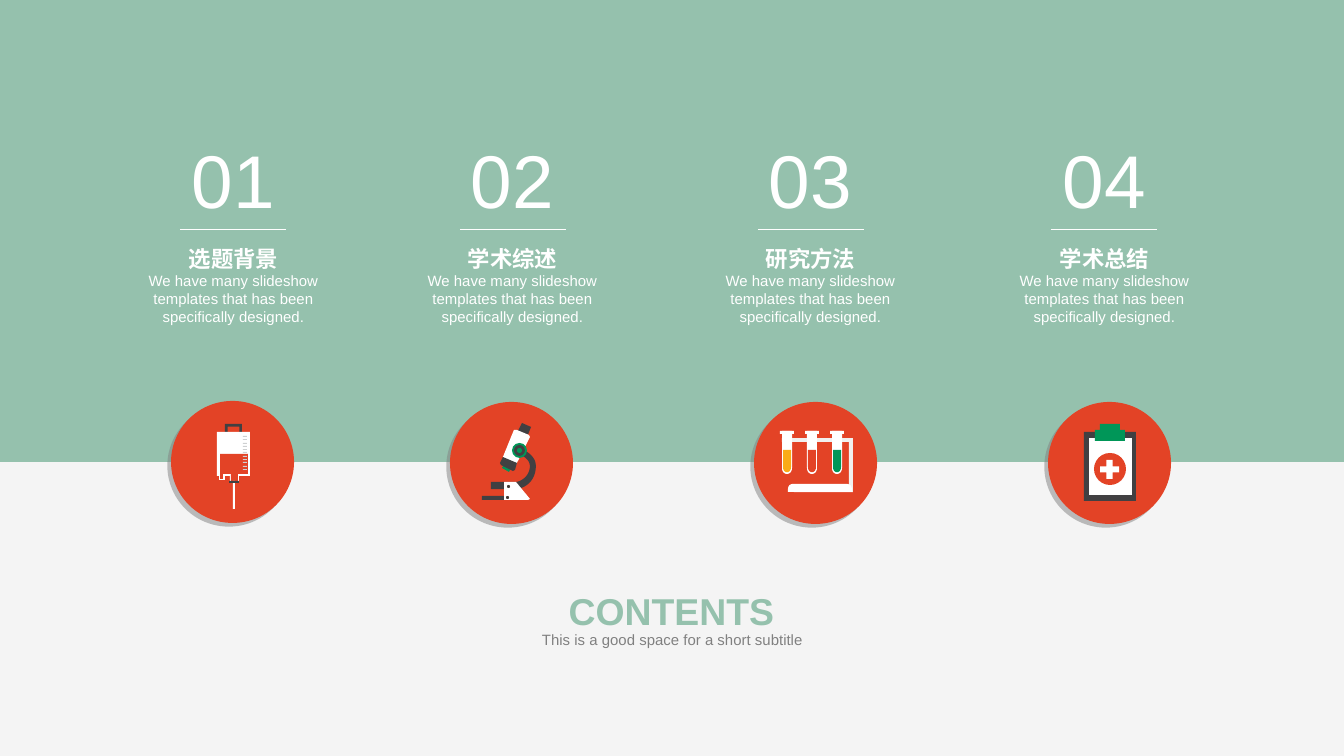
from typing import NamedTuple

from pptx import Presentation
from pptx.dml.color import RGBColor
from pptx.enum.shapes import MSO_CONNECTOR, MSO_SHAPE as Preset
from pptx.enum.text import MSO_ANCHOR as Anchor, PP_ALIGN as Align
from pptx.oxml.ns import qn
from pptx.util import Pt
from lxml.etree import SubElement

EMU_PER_PX = 9144000 / 1344
FONT = "Arial"
WHITE, SAGE, RED, DARK = "FFFFFF", "95C1AD", "E34326", "414042"
GREEN, AMBER, GREY, PALE = "009658", "FAAB18", "808080", "F4F4F4"
TICK, SCREW, RACK = "CED0D1", "403833", "F1F0EF"
BLURB = "We have many slideshow templates that has been specifically designed."


class Column(NamedTuple):
    number: str
    heading: str
    text_x: int
    line_x: int
    circle_x: int
    circle_y: int


class Part(NamedTuple):
    x: int
    y: int
    width: int
    height: int
    fill: str
    preset: Preset = Preset.RECTANGLE
    adjust: float | None = None


class Outline(NamedTuple):
    """Corners are (x, y); a tuple of six numbers is a cubic curve."""
    fill: str
    points: list[tuple[int, ...]]


COLUMNS = [
    Column("01", "选题背景", 138, 180, 171, 401),
    Column("02", "学术综述", 417, 460, 450, 402),
    Column("03", "研究方法", 715, 758, 754, 402),
    Column("04", "学术总结", 1009, 1051, 1048, 402),
]

DRIP_BAG = [
    Part(225, 424, 17, 13, DARK, Preset.FRAME, 0.2),
    Part(217, 432, 33, 44, WHITE),
    Part(220, 454, 28, 20, RED),
    Part(219, 476, 6, 4, WHITE),
    Part(230, 476, 9, 6, WHITE),
    Part(231, 472, 7, 9, RED),
    Part(220, 473, 3, 6, RED),
    Part(233, 481, 2, 28, WHITE),
    *[Part(243, round(436 + 3.3 * i), 4, 1, TICK) for i in range(11)],
    Part(229, 481, 10, 2, DARK),
]

MICROSCOPE = [
    Outline(GREEN, [(509, 472), (502, 468), (504, 465), (511, 468)]),
    Outline(DARK, [(527, 437), (517, 433), (522, 423), (531, 427)]),
    Outline(WHITE, [(517, 463), (516, 465), (504, 459), (503, 457),
                    (514, 430), (517, 430), (529, 435), (530, 437)]),
    Outline(DARK, [(515, 470), (513, 471), (501, 465), (500, 463),
                   (503, 457), (517, 463)]),
    Outline(DARK, [(536, 466), (536, 453, 519, 448, 519, 448), (516, 449),
                   (516, 453), (519, 454), (519, 454, 530, 458, 530, 466),
                   (530, 476, 521, 482, 515, 482), (491, 482), (491, 489),
                   (515, 489), (525, 489, 536, 481, 536, 466)]),
    Part(482, 496, 44, 4, DARK),
    Part(512, 443, 15, 15, GREEN, Preset.OVAL),
    Part(514, 445, 11, 11, DARK, Preset.OVAL),
    Outline(WHITE, [(528, 500), (504, 500), (504, 482), (516, 482),
                    (530, 499)]),
    Part(517, 448, 5, 5, GREEN, Preset.OVAL),
    Part(507, 485, 3, 3, SCREW, Preset.OVAL),
    Part(506, 496, 3, 3, SCREW, Preset.OVAL),
]


def test_tube(x: int, liquid: str) -> list[Part | Outline]:
    return [
        Outline(WHITE, [(x, 431), (x + 10, 431), (x + 10, 468),
                        (x + 10, 476, x, 476, x, 468)]),
        Outline(liquid, [(x + 1, 450), (x + 9, 450), (x + 9, 467),
                         (x + 9, 474, x + 1, 474, x + 1, 467)]),
        Part(x - 2, 431, 14, 3, WHITE),
    ]


TEST_TUBES = [
    Outline(RACK, [(782, 438), (853, 438), (853, 492), (794, 492),
                   (794, 489), (849, 489), (849, 442), (782, 442)]),
    *[piece for i, liquid in enumerate((AMBER, RED, GREEN))
      for piece in test_tube(782 + 25 * i, liquid)],
    Outline(WHITE, [(788, 492), (788, 490), (788, 486, 790, 484, 793, 484),
                    (847, 484), (850, 484, 852, 486, 852, 490), (852, 492)]),
]

CLIPBOARD = [
    Part(1084, 432, 52, 69, DARK),
    Part(1089, 438, 43, 57, WHITE),
    Outline(GREEN, [(1120, 430), (1120, 424), (1100, 424), (1100, 430),
                    (1095, 430), (1095, 441), (1125, 441), (1125, 430)]),
    Part(1094, 453, 32, 32, RED, Preset.OVAL),
    Part(1100, 460, 19, 19, WHITE, Preset.CROSS, 0.34),
]


def px(length: float) -> int:
    return round(length * EMU_PER_PX)


def rgb(colour: str) -> RGBColor:
    return RGBColor.from_string(colour)


def paint(shape, colour: str) -> None:
    shape.shadow.inherit = False
    shape.fill.solid()
    shape.fill.fore_color.rgb = rgb(colour)
    shape.line.fill.background()


def draw_part(shapes, part: Part):
    shape = shapes.add_shape(part.preset, *map(px, part[:4]))
    if part.adjust is not None:
        shape.adjustments[0] = part.adjust
    paint(shape, part.fill)
    return shape


def draw_outline(shapes, outline: Outline) -> None:
    corners = []
    for point in outline.points:
        if len(point) == 2:
            corners.append(point)
            continue
        controls = [corners[-1], point[:2], point[2:4], point[4:]]
        for step in range(1, 13):
            t = step / 12
            weights = ((1 - t) ** 3, 3 * t * (1 - t) ** 2,
                       3 * t * t * (1 - t), t ** 3)
            corners.append(tuple(
                sum(w * control[axis] for w, control in zip(weights, controls))
                for axis in (0, 1)))
    places = [(px(x), px(y)) for x, y in corners]
    builder = shapes.build_freeform(*places[0])
    builder.add_line_segments(places[1:])
    paint(builder.convert_to_shape(), outline.fill)


def draw_icon(slide, pieces: list[Part | Outline]) -> None:
    group = slide.shapes.add_group_shape()
    for piece in pieces:
        draw = draw_part if isinstance(piece, Part) else draw_outline
        draw(group.shapes, piece)


def add_hard_shadow(shape) -> None:
    effects = shape.element.spPr.find(qn("a:effectLst"))
    shadow = SubElement(effects, qn("a:outerShdw"), blurRad="0", dist="35560",
                        dir="8100000", algn="tr", rotWithShape="0")
    colour = SubElement(shadow, qn("a:srgbClr"), val=GREY)
    SubElement(colour, qn("a:alpha"), val="50000")


def write(para, text: str, size: int, colour: str, bold: bool = False) -> None:
    para.alignment = Align.CENTER
    span = para.add_run()
    span.text = text
    span.font.name, span.font.size, span.font.bold = FONT, Pt(size), bold
    span.font.color.rgb = rgb(colour)


def draw_column(slide, column: Column, icon: list[Part | Outline]) -> None:
    circle = Part(column.circle_x, column.circle_y, 123, 122, RED, Preset.OVAL)
    add_hard_shadow(draw_part(slide.shapes, circle))
    box = slide.shapes.add_textbox(px(column.text_x), px(134), px(191), px(192))
    frame = box.text_frame
    frame.word_wrap = True
    frame.margin_left = frame.margin_right = 0
    frame.margin_top = frame.margin_bottom = 0
    write(frame.paragraphs[0], column.number, 40, WHITE)
    heading = frame.add_paragraph()
    heading.space_before = Pt(11.5)
    write(heading, column.heading, 12, WHITE, bold=True)
    write(frame.add_paragraph(), BLURB, 8, WHITE)
    rule = slide.shapes.add_connector(
        MSO_CONNECTOR.STRAIGHT, px(column.line_x), px(230),
        px(column.line_x + 106), px(230))
    rule.line.color.rgb = rgb(WHITE)
    rule.line.width = Pt(0.5)
    SubElement(rule.element.spPr, qn("a:effectLst"))
    draw_icon(slide, icon)


def main() -> None:
    deck = Presentation()
    deck.slide_width, deck.slide_height = px(1344), px(756)
    slide = deck.slides.add_slide(deck.slide_layouts[5])
    slide.background.fill.solid()
    slide.background.fill.fore_color.rgb = rgb(PALE)
    draw_part(slide.shapes, Part(0, 0, 1344, 462, SAGE))

    title = slide.shapes.title
    title.left, title.top, title.width, title.height = map(px, (555, 581, 233, 58))
    title.text_frame.vertical_anchor = Anchor.TOP
    title.text_frame.word_wrap = False
    write(title.text_frame.paragraphs[0], "CONTENTS", 20, SAGE, bold=True)
    subtitle = slide.shapes.add_textbox(*map(px, (528, 624, 289, 31)))
    subtitle.text_frame.word_wrap = False
    write(subtitle.text_frame.paragraphs[0],
          "This is a good space for a short subtitle", 8, GREY)

    icons = (DRIP_BAG, MICROSCOPE, TEST_TUBES, CLIPBOARD)
    for column, icon in zip(COLUMNS, icons):
        draw_column(slide, column, icon)
    deck.save("out.pptx")


if __name__ == "__main__":
    main()
